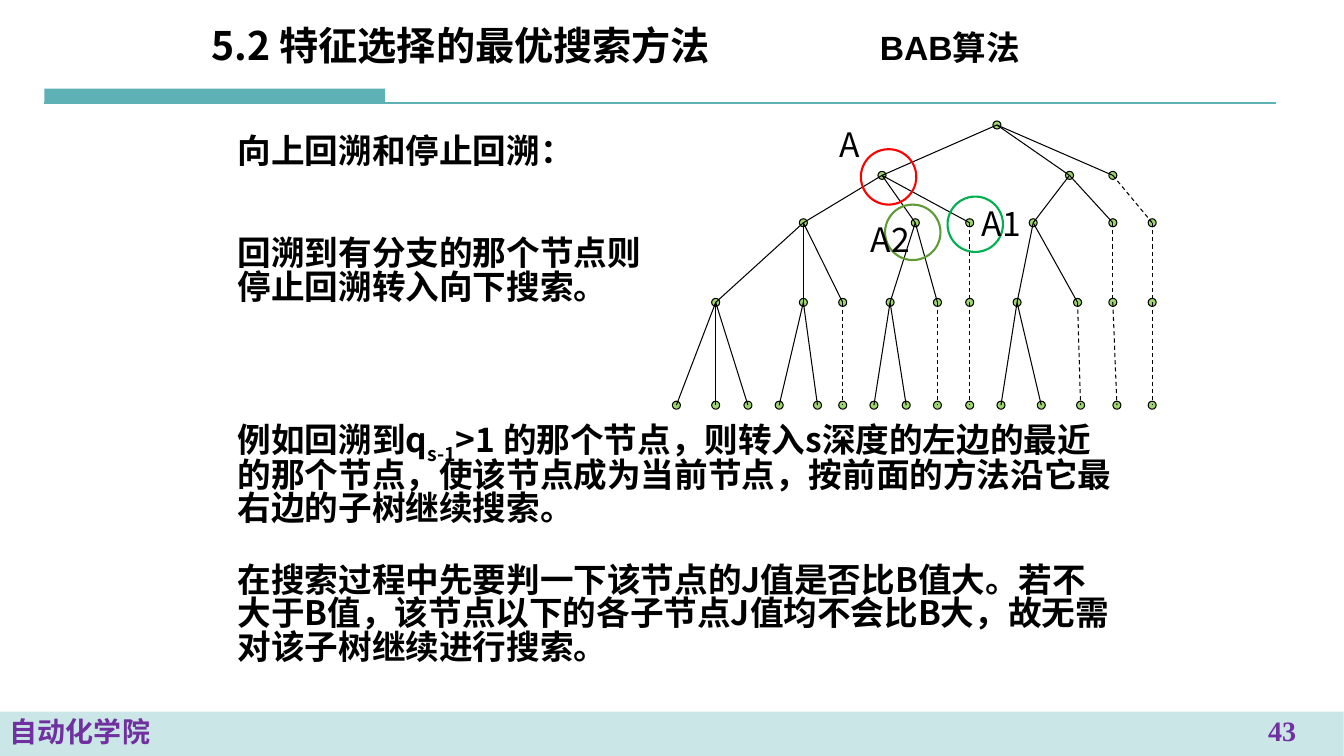
from dataclasses import dataclass

from pptx import Presentation
from pptx.dml.color import RGBColor
from pptx.enum.dml import MSO_LINE_DASH_STYLE as Dash
from pptx.enum.shapes import MSO_CONNECTOR as Connector, MSO_SHAPE as Shape
from pptx.enum.text import MSO_ANCHOR as Anchor, PP_ALIGN as Align
from pptx.oxml.ns import qn
from pptx.util import Inches, Pt

CJK, ARIAL, TIMES = "Noto Sans CJK SC", "Arial", "Times New Roman"
BLACK, TEAL, PURPLE, LEAF = "000000", "5EB2B6", "7030A0", "9FD56D"
NODE = 0.8
LEVEL_ROWS = (12.4, 17.4, 22.1, 30, 40.2)
LEVEL_COLS = (
    (98.9,),
    (87.5, 106.1, 110.4),
    (79.7, 90.8, 96.2, 102.5, 110.4, 114.3),
    (71, 79.7, 83.6, 88.3, 93, 96.2, 100.9, 106.9, 110.4, 114.3),
    (67.1, 71, 74.2, 77.3, 81.1, 83.6, 86.7, 89.9, 93, 96.2,
     99.3, 103.3, 107.2, 110.8, 114.3),
)


@dataclass(frozen=True)
class Box:
    """Place and size in grid cells."""
    col: float
    row: float
    cols: float
    rows: float


@dataclass(frozen=True)
class Label:
    """Text with its place and look."""
    text: str
    box: Box
    font: str = CJK
    size: int = 24
    color: str = BLACK
    bold: bool = True
    align: Align = Align.LEFT
    subscript: str = ""
    spacing: float = 0.83


@dataclass(frozen=True)
class Ring:
    """Open circle marking a tree node."""
    col: float
    row: float
    color: str


@dataclass(frozen=True)
class Edge:
    """Straight line between two grid points."""
    start: tuple[float, float]
    end: tuple[float, float]
    color: str = BLACK
    width: float = 0.75
    dashed: bool = False


TITLE = Label("5.2 特征选择的最优搜索方法", Box(20, 1.7, 67.5, 6.2), size=28)
FOOTER = Label("自动化学院", Box(0, 70.6, 133.3, 4.4), ARIAL, 20, PURPLE)
LABELS = (
    Label("向上回溯和停止回溯：", Box(22.6, 13.1, 42.5, 5)),
    Label("回溯到有分支的那个节点则停止回溯转入向下搜索。", Box(22.6, 23.2, 42.5, 9.1)),
    Label("例如回溯到qs-1>1 的那个节点，则转入s深度的左边的最近的那个节点，"
          "使该节点成为当前节点，按前面的方法沿它最右边的子树继续搜索。",
          Box(22.6, 41.4, 89, 13.1), subscript="s-1"),
    Label("在搜索过程中先要判一下该节点的J值是否比B值大。若不大于B值，"
          "该节点以下的各子节点J值均不会比B大，故无需对该子树继续进行搜索。",
          Box(22.6, 55.6, 89, 13.1)),
    Label("A", Box(82.3, 12.5, 4.7, 5.1), bold=False),
    Label("A1", Box(96.4, 20.3, 7.3, 5.1), bold=False),
    Label("A2", Box(85.4, 21.9, 6.2, 5.1), bold=False),
    Label("43", Box(121.1, 70.3, 12.2, 3.9), TIMES, 20, PURPLE,
          align=Align.CENTER, spacing=1),
    Label("BAB算法", Box(86.3, 2.9, 18.9, 5), ARIAL),
)
RINGS = (Ring(85.4, 14.8, "FF0000"), Ring(94, 19.5, "00B050"), Ring(87.8, 20.3, "609B36"))


def cells(n: float) -> int:
    """Turn grid cells, a tenth of an inch each, into a length."""
    return Inches(n / 10)


def rgb(color: str) -> RGBColor:
    """Turn a hex string into a colour."""
    return RGBColor.from_string(color)


def frame(box: Box) -> tuple[int, ...]:
    """Return left, top, width and height of a box."""
    return tuple(cells(n) for n in (box.col, box.row, box.cols, box.rows))


def write(tf, label: Label) -> None:
    """Write a label into a text frame."""
    tf.word_wrap = True
    p = tf.paragraphs[0]
    p.alignment, p.line_spacing = label.align, label.spacing
    parts = label.text.partition(label.subscript) if label.subscript else (label.text,)
    for part in parts:
        r = p.add_run()
        r.text = part
        r.font.name, r.font.size, r.font.bold = label.font, Pt(label.size), label.bold
        r.font.color.rgb = rgb(label.color)
        props = r._r.get_or_add_rPr()
        ea = props.makeelement(qn("a:ea"), {"typeface": CJK})
        props.find(qn("a:latin")).addnext(ea)
        if part == label.subscript:
            props.set("baseline", "-25000")


def add_shape(slide, kind: Shape, box: Box, fill: str = "", line: str = "", width: float = 0.75):
    """Draw a preset shape with optional fill and line."""
    s = slide.shapes.add_shape(kind, *frame(box))
    s.shadow.inherit = False
    if fill:
        s.fill.solid()
        s.fill.fore_color.rgb = rgb(fill)
    else:
        s.fill.background()
    if line:
        s.line.color.rgb = rgb(line)
        s.line.width = Pt(width)
    else:
        s.line.fill.background()
    return s


def add_edge(slide, edge: Edge) -> None:
    """Draw a straight line."""
    ends = (cells(n) for n in edge.start + edge.end)
    c = slide.shapes.add_connector(Connector.STRAIGHT, *ends)
    c.line.color.rgb = rgb(edge.color)
    c.line.width = Pt(edge.width)
    if edge.dashed:
        c.line.dash_style = Dash.DASH
    props = c._element.spPr
    props.append(props.makeelement(qn("a:effectLst"), {}))


def add_tree(slide) -> None:
    """Draw the search tree; a node with n branches has children with n to 1."""
    levels = [[(col, row) for col in cols] for cols, row in zip(LEVEL_COLS, LEVEL_ROWS)]
    for col, row in (node for level in levels for node in level):
        box = Box(col - NODE / 2, row - NODE / 2, NODE, NODE)
        add_shape(slide, Shape.OVAL, box, LEAF, BLACK)
    branches = [3]
    for parents, nodes in zip(levels, levels[1:]):
        children = iter(nodes)
        for parent, count in zip(parents, branches):
            for _ in range(count):
                add_edge(slide, Edge(parent, next(children), dashed=count == 1))
        branches = [n for count in branches for n in range(count, 0, -1)]


def add_frame(slide) -> None:
    """Draw the heading rule and the footer band."""
    add_shape(slide, Shape.RECTANGLE, Box(4.4, 8.8, 33.8, 1.4), TEAL)
    add_edge(slide, Edge((4.4, 10.2), (126.6, 10.2), TEAL, 1.5))
    band = add_shape(slide, Shape.RECTANGLE, FOOTER.box, TEAL)
    color = band._element.spPr.find(qn("a:solidFill"))[0]
    color.append(color.makeelement(qn("a:alpha"), {"val": "32000"}))
    band.text_frame.vertical_anchor = Anchor.MIDDLE
    write(band.text_frame, FOOTER)


def main() -> None:
    """Build the slide and save it."""
    prs = Presentation()
    prs.slide_width, prs.slide_height = cells(133.33), cells(75)
    slide = prs.slides.add_slide(prs.slide_layouts[5])
    title = slide.shapes.title
    title.left, title.top, title.width, title.height = frame(TITLE.box)
    title.text_frame.vertical_anchor = Anchor.MIDDLE
    write(title.text_frame, TITLE)
    add_frame(slide)
    add_tree(slide)
    for ring in RINGS:
        add_shape(slide, Shape.OVAL, Box(ring.col, ring.row, 5.5, 5.5), line=ring.color, width=1.5)
    for label in LABELS:
        write(slide.shapes.add_textbox(*frame(label.box)).text_frame, label)
    prs.save("out.pptx")


if __name__ == "__main__":
    main()
